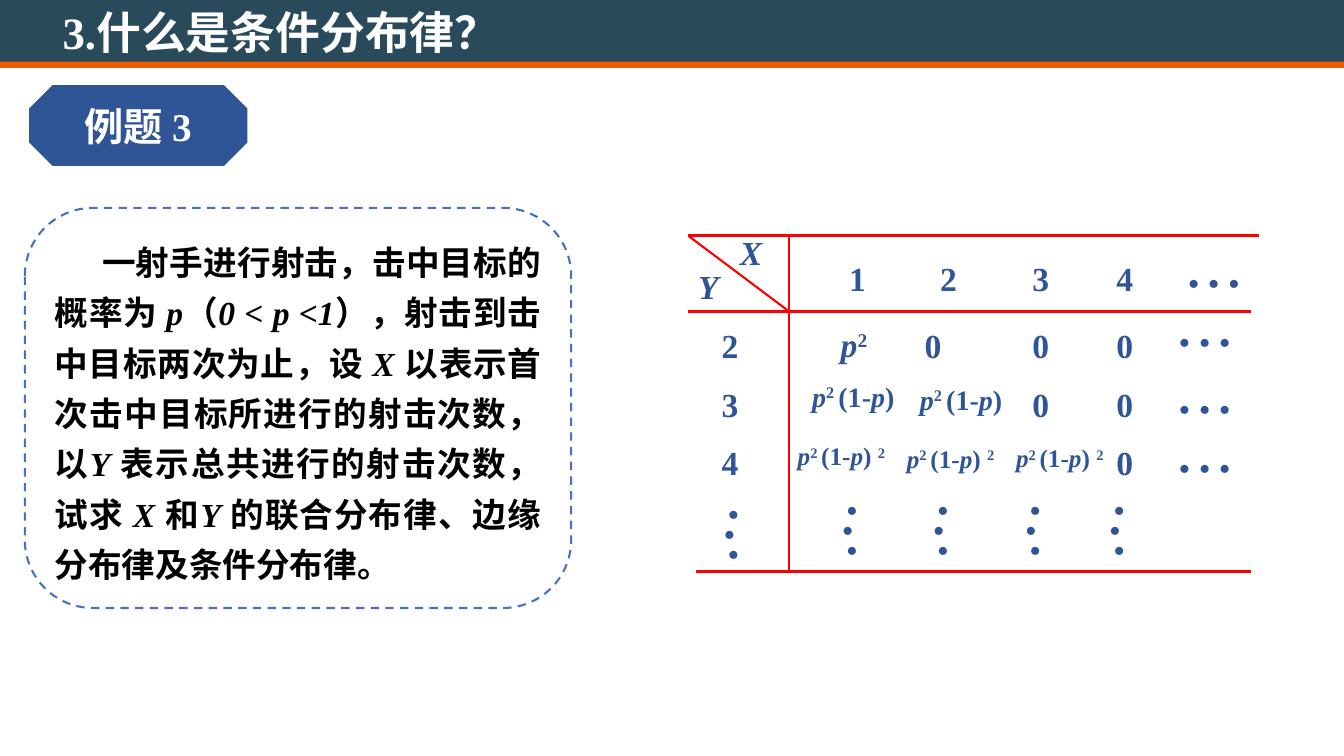
from lxml import etree
from pptx import Presentation
from pptx.dml.color import RGBColor
from pptx.enum.dml import MSO_LINE
from pptx.enum.shapes import MSO_CONNECTOR, MSO_SHAPE
from pptx.enum.text import MSO_ANCHOR, MSO_AUTO_SIZE, PP_ALIGN
from pptx.oxml.ns import qn
from pptx.util import Pt

STRAIGHT = MSO_CONNECTOR.STRAIGHT
DASH = MSO_LINE.DASH
MIDDLE = MSO_ANCHOR.MIDDLE
CENTER, LEFT, JUSTIFY = PP_ALIGN.CENTER, PP_ALIGN.LEFT, PP_ALIGN.JUSTIFY
FONT = "Times New Roman"
COLORS = {"banner": "294A5A", "accent": "ED5A00", "navy": "2F5597", "outline": "4472C4",
          "rule": "FF0000", "white": "FFFFFF", "black": "000000"}

# Content: a span is (text, style), style "i" is italic and "sup" is superscript
TITLE = [("3.什么是条件分布律？", "")]
BADGE = [("例题 3", "")]
PROBLEM = [
    ("一射手进行射击，击中目标的概率为 ", ""), ("p", "i"), ("（", ""), ("0 < p <1", "i"),
    ("），射击到击中目标两次为止，设 ", ""), ("X ", "i"),
    ("以表示首次击中目标所进行的射击次数，以", ""), ("Y ", "i"),
    ("表示总共进行的射击次数，试求 ", ""), ("X ", "i"), ("和", ""), ("Y ", "i"),
    ("的联合分布律、边缘分布律及条件分布律。", ""),
]
DOTS = "• • •"
DOT_COLUMN = ["•", "• ", "•"]
P2 = [("p", "i"), ("2", "sup")]
P2Q = [("p", "i"), ("2 ", "sup"), ("(1-", ""), ("p", "i"), (")", "")]
P2Q2 = P2Q[:-1] + [(") ", ""), ("2", "sup")]

# Table: column centres, row centres, then entries as (spans, size, x shift, y shift)
COLUMNS = [521.5, 612.5, 677.5, 743.5, 803.5]
ROWS = [198.5, 246.5, 288.5, 330]


def digit(text, shift=0):
    return [(text, "")], 24, shift, 0


GRID = [
    [None, digit("1"), digit("2"), digit("3"), digit("4")],
    [digit("2"), (P2, 24, -2.5, -0.5), digit("0", -11), digit("0"), digit("0")],
    [digit("3"), (P2Q, 20, -3, -5.5), (P2Q, 20, 9, -3.5), digit("0"), digit("0")],
    [digit("4"), (P2Q2, 18, -11.5, -4.5), (P2Q2, 18, 1.5, -2.5), (P2Q2, 18, 13.5, -3),
     digit("0")],
]
AXIS_NAMES = [("X", 536.5, 180), ("Y", 506, 204.5)]
ROW_DOTS = [(867, 201.5), (860.5, 243.5), (860.5, 291.5), (860.5, 333.5)]
COLUMN_DOTS = [(524, 386)] + [(x - 4, 383) for x in COLUMNS[1:]]

# Rules as (x1, y1, x2, y2, width)
TOP, HEADER, BOTTOM, EDGE, DIVIDER = 168.5, 222.5, 408, 491.75, 563.75
RULES = [
    (EDGE, TOP, 899, TOP, 2.25),
    (EDGE, HEADER, 893.5, HEADER, 1.5),
    (DIVIDER, TOP, DIVIDER, BOTTOM, 1.5),
    (497.5, BOTTOM, 893.5, BOTTOM, 2.25),
    (EDGE, TOP, DIVIDER, HEADER, 1.5),
]

deck = Presentation()
deck.slide_width, deck.slide_height = Pt(960), Pt(540)
page = deck.slides.add_slide(deck.slide_layouts[5])


def color(name):
    return RGBColor.from_string(COLORS[name])


def write(para, spans, size, ink, bold=True, align=CENTER):
    para.alignment = align
    para.font.name, para.font.size, para.font.bold = FONT, Pt(size), bold
    for text, style in spans:
        span = para.add_run()
        span.text = text
        span.font.color.rgb = color(ink)
        if style == "i":
            span.font.italic = True
        elif style == "sup":
            span.font._element.set("baseline", "30000")


def add_panel(kind, left, top, width, height, fill):
    panel = page.shapes.add_shape(kind, Pt(left), Pt(top), Pt(width), Pt(height))
    panel.shadow.inherit = False
    panel.fill.solid()
    panel.fill.fore_color.rgb = color(fill)
    panel.line.fill.background()
    panel.text_frame.word_wrap = True
    panel.text_frame.vertical_anchor = MIDDLE
    return panel


def add_label(x, y, lines, size=24, bold=True, spacing=None):
    width = 48 if len(lines[0]) == 1 and len(lines[0][0][0]) == 1 else 110
    height = 36
    box = page.shapes.add_textbox(Pt(x - width / 2), Pt(y - height / 2), Pt(width), Pt(height))
    frame = box.text_frame
    frame.word_wrap = False
    frame.vertical_anchor = MIDDLE
    for index, spans in enumerate(lines):
        para = frame.add_paragraph() if index else frame.paragraphs[0]
        write(para, spans, size, "navy", bold)
        para.line_spacing = spacing


# Banner and title
add_panel(MSO_SHAPE.RECTANGLE, 0, -2, 960, 49, "banner")
add_panel(MSO_SHAPE.RECTANGLE, 0, 44, 960, 4.5, "accent")
title = page.shapes.title
title.left, title.top, title.width, title.height = Pt(37.5), Pt(-0.5), Pt(643.5), Pt(46)
title.text_frame.auto_size = MSO_AUTO_SIZE.NONE
title.text_frame.vertical_anchor = MIDDLE
write(title.text_frame.paragraphs[0], TITLE, 32, "white", align=LEFT)
page.shapes._spTree.append(title._element)

# Example badge
badge = add_panel(MSO_SHAPE.OCTAGON, 20.75, 60.75, 156, 57.75, "navy")
badge.adjustments[0] = 0.29
write(badge.text_frame.paragraphs[0], BADGE, 28, "white")

# Problem statement
problem = add_panel(MSO_SHAPE.ROUNDED_RECTANGLE, 17.75, 148.5, 390.25, 285.75, "white")
problem.adjustments[0] = 0.17
problem.line.color.rgb = color("outline")
problem.line.width = Pt(1.5)
problem.line.dash_style = DASH
statement = problem.text_frame.paragraphs[0]
write(statement, PROBLEM, 24, "black", align=JUSTIFY)
statement.line_spacing = 1.25
statement._p.get_or_add_pPr().set("indent", str(Pt(34)))

# Table rules
for x1, y1, x2, y2, width in RULES:
    rule = page.shapes.add_connector(STRAIGHT, Pt(x1), Pt(y1), Pt(x2), Pt(y2))
    rule.line.color.rgb = color("rule")
    rule.line.width = Pt(width)
    etree.SubElement(rule._element.spPr, qn("a:effectLst"))

# Table entries
for name, x, y in AXIS_NAMES:
    add_label(x, y, [[(name, "i")]])
for y, row in zip(ROWS, GRID):
    for x, entry in zip(COLUMNS, row):
        if entry:
            spans, size, shift_x, shift_y = entry
            add_label(x + shift_x, y + shift_y, [spans], size)

# Continuation dots
for x, y in ROW_DOTS:
    add_label(x, y, [[(DOTS, "")]], bold=False)
for x, y in COLUMN_DOTS:
    add_label(x, y, [[(dot, "")] for dot in DOT_COLUMN], bold=False, spacing=0.5)

deck.save("out.pptx")
